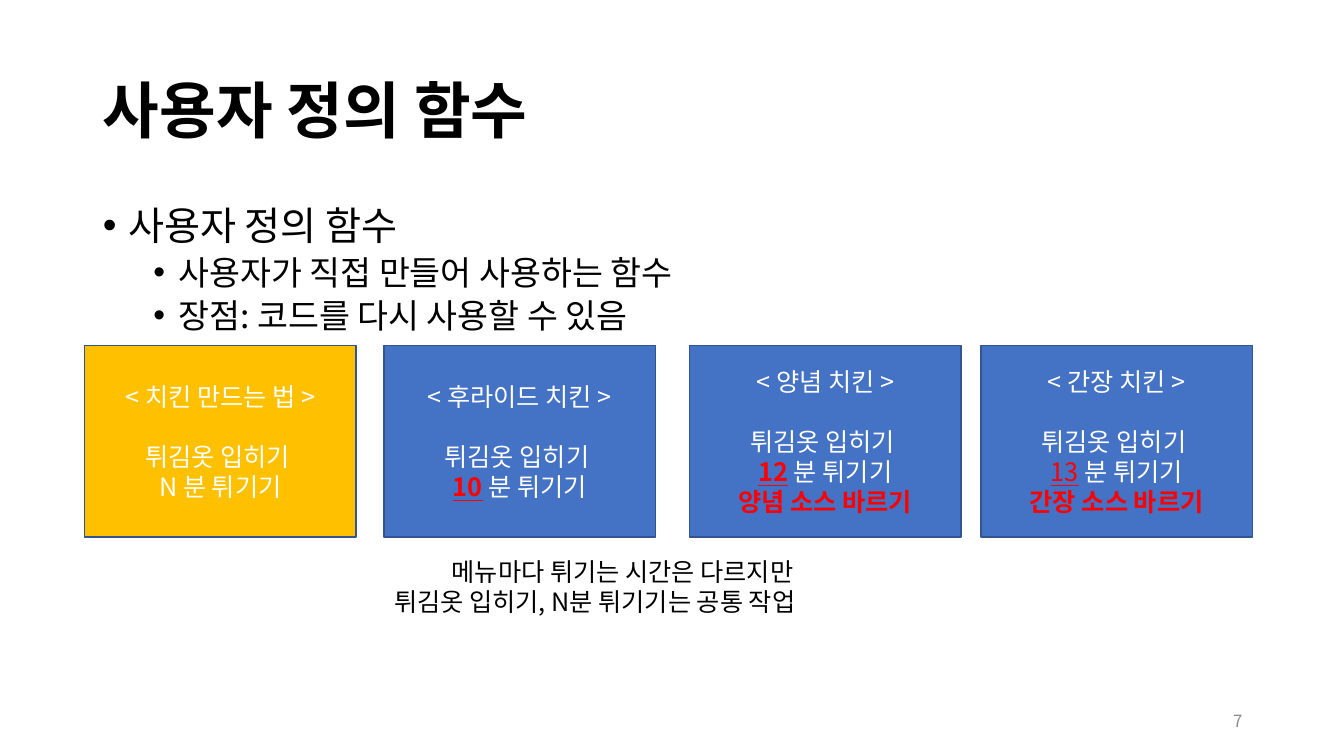
from pptx import Presentation
from pptx.dml.color import RGBColor
from pptx.enum import shapes, text
from pptx.oxml import ns
from pptx.util import Inches, Pt
from lxml import etree

FONT = "Noto Sans CJK KR"
BLACK = RGBColor(0, 0, 0)
WHITE = RGBColor(255, 255, 255)
RED = RGBColor(255, 0, 0)
GREY = RGBColor(0x8C, 0x8C, 0x8C)
GOLD = RGBColor(0xFF, 0xC0, 0)
BLUE = RGBColor(0x44, 0x72, 0xC4)
EDGE = RGBColor(0x32, 0x54, 0x91)
LEFT, MID, RIGHT = text.PP_ALIGN.LEFT, text.PP_ALIGN.CENTER, text.PP_ALIGN.RIGHT

# Content
TITLE = "사용자 정의 함수"
POINTS = [  # level, text, size, space before, indent
    (0, "사용자 정의 함수", 28, 10, 0.25),
    (1, "사용자가 직접 만들어 사용하는 함수", 24, 5, 0.75),
    (1, "장점: 코드를 다시 사용할 수 있음", 24, 5, 0.75),
]
COAT, FRY = "튀김옷 입히기 ", " 분 튀기기"
CARDS = [  # left, fill, heading, minutes, minutes bold, sauce
    (0.84, GOLD, "치킨 만드는 법", "N", False, None),
    (3.81, BLUE, "후라이드 치킨", "10", True, None),
    (6.84, BLUE, "양념 치킨", "12", True, "양념 소스 바르기"),
    (9.73, BLUE, "간장 치킨", "13", False, "간장 소스 바르기"),
]
NOTE = [("메뉴마다 튀기는 시간은 다르지만", MID),
        ("튀김옷 입히기, N분 튀기기는 공통 작업", LEFT)]
PAGE = "7"


def style(run, size, color, bold=False, under=False):
    font = run.font
    font.name, font.size, font.bold = FONT, Pt(size), bold
    font.underline = under
    font.color.rgb = color
    east = etree.SubElement(run._r.get_or_add_rPr(), ns.qn("a:ea"))
    east.set("typeface", FONT)


def write(para, words, size, color, align=LEFT, **kind):
    run = para.add_run()
    run.text = words
    style(run, size, color, **kind)
    para.alignment = align


def place(shape, *box):
    shape.left, shape.top, shape.width, shape.height = map(Inches, box)


def line(frame, first):
    return frame.paragraphs[0] if first else frame.add_paragraph()


def bullet(para, indent):
    props = para._p.get_or_add_pPr()
    props.set("marL", str(Inches(indent)))
    props.set("indent", str(Inches(-0.25)))
    face = etree.SubElement(props, ns.qn("a:buFont"))
    face.set("typeface", "Arial")
    etree.SubElement(props, ns.qn("a:buChar")).set("char", "•")


deck = Presentation()
deck.slide_width, deck.slide_height = Inches(13.33), Inches(7.5)
slide = deck.slides.add_slide(deck.slide_layouts[1])

# Title
title = slide.shapes.title
place(title, 0.92, 0.4, 11.5, 1.45)
frame = title.text_frame
frame.vertical_anchor = text.MSO_ANCHOR.MIDDLE
write(frame.paragraphs[0], TITLE, 44, BLACK, bold=True)
frame.paragraphs[0].line_spacing = 0.9

# Bullet list
body = slide.placeholders[1]
place(body, 0.92, 2, 11.5, 4.76)
for i, (level, words, size, gap, indent) in enumerate(POINTS):
    para = line(body.text_frame, i == 0)
    para.level = level
    write(para, words, size, BLACK)
    para.line_spacing, para.space_before = 0.9, Pt(gap)
    bullet(para, indent)

# Recipe cards
for left, fill, head, mins, bold, sauce in CARDS:
    card = slide.shapes.add_shape(shapes.MSO_SHAPE.RECTANGLE, 0, 0, 0, 0)
    place(card, left, 3.43, 2.69, 1.9)
    card.shadow.inherit = False
    card.fill.solid()
    card.fill.fore_color.rgb = fill
    card.line.color.rgb, card.line.width = EDGE, Pt(1)
    frame = card.text_frame
    frame.vertical_anchor = text.MSO_ANCHOR.MIDDLE
    para = line(frame, True)
    write(para, f"< {head} >", 18, WHITE, MID)
    para.space_after = Pt(21.5)
    write(line(frame, False), COAT, 18, WHITE, MID)
    para = line(frame, False)
    fixed = mins.isdigit()
    write(para, mins, 18, RED if fixed else WHITE, MID, bold=bold, under=fixed)
    write(para, FRY, 18, WHITE, MID)
    if sauce:
        write(line(frame, False), sauce, 18, RED, MID, bold=True)

# Note below the cards
note = slide.shapes.add_textbox(0, 0, 0, 0)
place(note, 3.81, 5.47, 4.73, 0.71)
note.text_frame.word_wrap = True
for i, (words, align) in enumerate(NOTE):
    write(line(note.text_frame, i == 0), words, 18, BLACK, align)

# Page number
page = slide.shapes.add_textbox(0, 0, 0, 0)
place(page, 9.42, 6.95, 3, 0.4)
page.text_frame.word_wrap = True
page.text_frame.vertical_anchor = text.MSO_ANCHOR.MIDDLE
write(page.text_frame.paragraphs[0], PAGE, 12, GREY, RIGHT)

deck.save("out.pptx")
